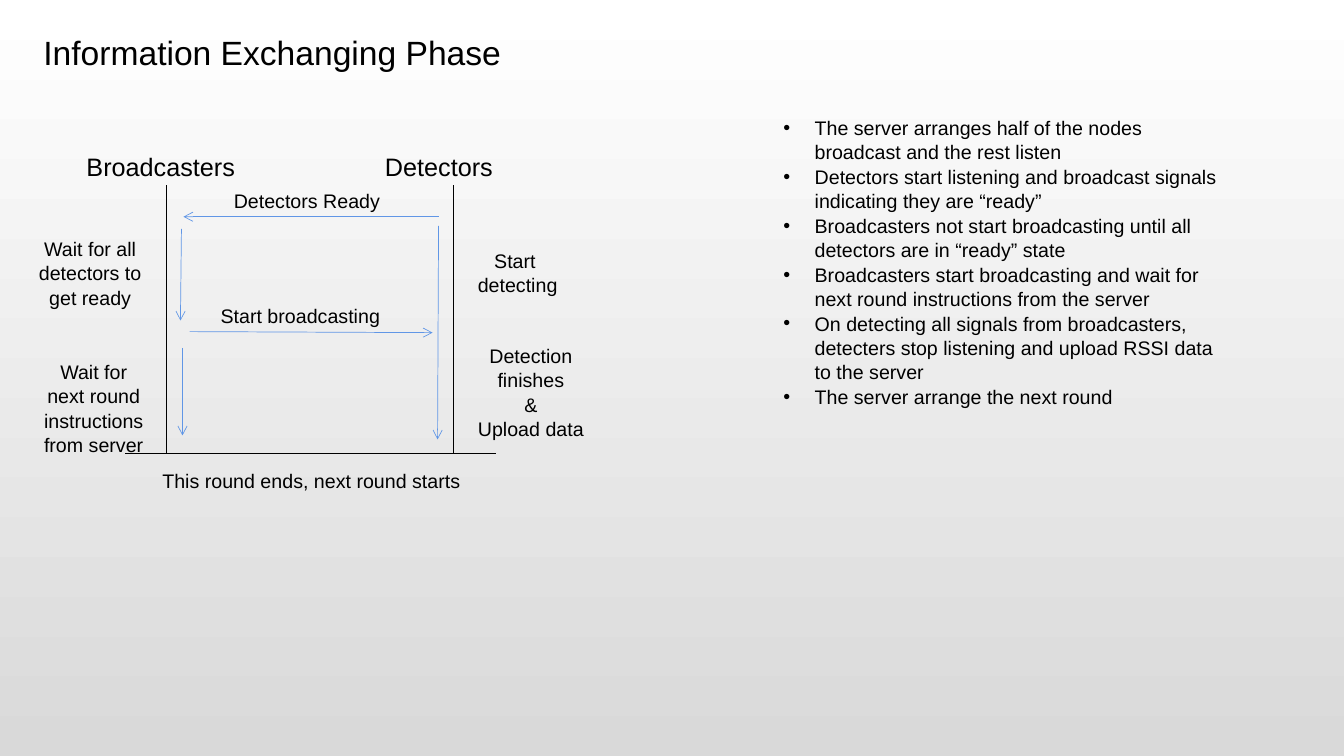
from pptx import Presentation
from pptx import util as u
from pptx.dml.color import RGBColor
from pptx.enum import shapes, text
from pptx.oxml.ns import qn
from lxml import etree

BLACK, BLUE = "000000", "6096E6"
TITLE = "Information Exchanging Phase"
STEPS = [
    "The server arranges half of the nodes broadcast and the rest listen",
    "Detectors start listening and broadcast signals indicating they are “ready”",
    "Broadcasters not start broadcasting until all detectors are in “ready” state",
    "Broadcasters start broadcasting and wait for next round instructions from the server",
    "On detecting all signals from broadcasters, detecters stop listening and upload RSSI data "
    "to the server",
    "The server arrange the next round",
]

# Lifelines of the sequence diagram, in inches
BROADCASTERS, DETECTORS = 1.65, 4.5
TOP, END = 1.84, 4.5
GAP = 0.15  # from a lifeline to the arrows beside it
LEFT, RIGHT = BROADCASTERS + GAP, DETECTORS - GAP

# Lines of text, (left, top, width, height)
HEADINGS = [
    (["Broadcasters"], (0.76, 1.44, 1.77, 0.4)),
    (["Detectors"], (3.72, 1.44, 1.77, 0.4)),
]
MESSAGES = [
    (["Detectors Ready"], (2.22, 1.82, 1.71, 0.34)),
    (["Start broadcasting"], (2.09, 2.96, 1.96, 0.34)),
]
STATES = [
    (["Wait for all detectors to get ready"], (0.21, 2.29, 1.37, 0.81)),
    (["Wait for next round instructions", "from server"], (0.33, 3.51, 1.2, 1.04)),
    (["Start ", "detecting"], (4.57, 2.41, 1.13, 0.57)),
    (["Detection finishes", "&", "Upload data"], (4.62, 3.35, 1.29, 1.04)),
    (["This round ends, next round starts"], (1.01, 4.59, 4.16, 0.34)),
]
LIFELINES = [
    (BROADCASTERS, TOP, BROADCASTERS, END),
    (DETECTORS, TOP, DETECTORS, END),
    (1.24, END, 4.92, END),
]
ARROWS = [
    (RIGHT, 2.15, 1.82, 2.15),
    (1.88, 3.29, 4.29, 3.3),
    (LEFT, 2.27, LEFT - 0.01, 3.18),
    (1.81, 3.45, 1.81, 4.32),
    (RIGHT, 2.24, RIGHT - 0.01, 4.36),
]


def color(value):
    return RGBColor.from_string(value)


def write(box, lines, place, size, align=text.PP_ALIGN.LEFT):
    """Place a text shape and fill it with one paragraph per line."""
    box.left, box.top, box.width, box.height = map(u.Inches, place)
    frame = box.text_frame
    frame.text = "\n".join(lines)
    frame.word_wrap = True
    frame.auto_size = text.MSO_AUTO_SIZE.NONE
    frame.vertical_anchor = text.MSO_ANCHOR.TOP
    for para in frame.paragraphs:
        para.alignment = align
        para.space_before = u.Pt(0)
        para.line_spacing = 1.04
        para.font.name = "Arial"
        para.font.size = u.Pt(size)
        para.font.color.rgb = color(BLACK)


def draw_line(page, ends, line_color, arrow=False):
    line = page.shapes.add_connector(shapes.MSO_CONNECTOR.STRAIGHT, *map(u.Inches, ends))
    line.line.color.rgb = color(line_color)
    line.line.width = u.Pt(0.5)
    if arrow:
        etree.SubElement(line.line._get_or_add_ln(), qn("a:tailEnd"), type="arrow")
    etree.SubElement(line._element.spPr, qn("a:effectLst"))


def main():
    deck = Presentation()
    deck.slide_width, deck.slide_height = u.Inches(13.33), u.Inches(7.5)
    page = deck.slides.add_slide(deck.slide_layouts[1])

    fill = page.background.fill
    fill.gradient()
    fill.gradient_angle = 270
    for stop, position, shade in zip(fill.gradient_stops, (0, 1), ("FFFFFF", "D9D9D9")):
        stop.position = position
        stop.color.rgb = color(shade)

    write(page.shapes.title, [TITLE], (0.33, 0.25, 5.19, 0.5), 24)
    body = page.placeholders[1]
    write(body, STEPS, (7.67, 1.09, 4.51, 3.16), 14)
    indent = u.Inches(0.31)
    for para in body.text_frame.paragraphs:
        properties = para._p.get_or_add_pPr()
        properties.set("marL", str(indent))
        properties.set("indent", str(-indent))
        etree.SubElement(properties, qn("a:buChar"), char="•")
        # Bullets come before the default run properties
        properties.append(properties.find(qn("a:defRPr")))

    for ends in LIFELINES:
        draw_line(page, ends, BLACK)
    for ends in ARROWS:
        draw_line(page, ends, BLUE, arrow=True)

    left, center = text.PP_ALIGN.LEFT, text.PP_ALIGN.CENTER
    for labels, size, align in ((HEADINGS, 18, left), (MESSAGES, 14, left), (STATES, 14, center)):
        for lines, place in labels:
            write(page.shapes.add_textbox(0, 0, 0, 0), lines, place, size, align)

    deck.save("out.pptx")


if __name__ == "__main__":
    main()
